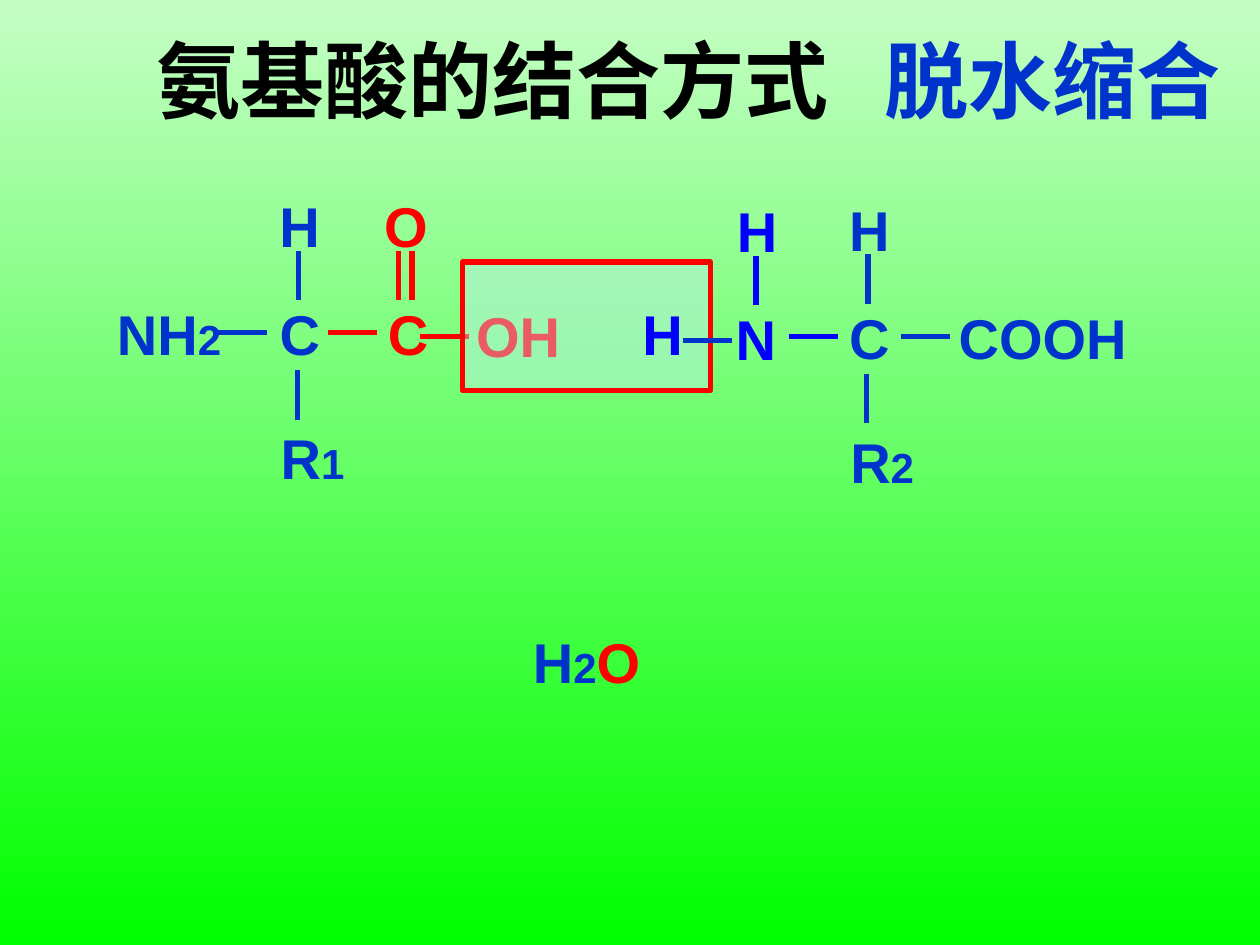
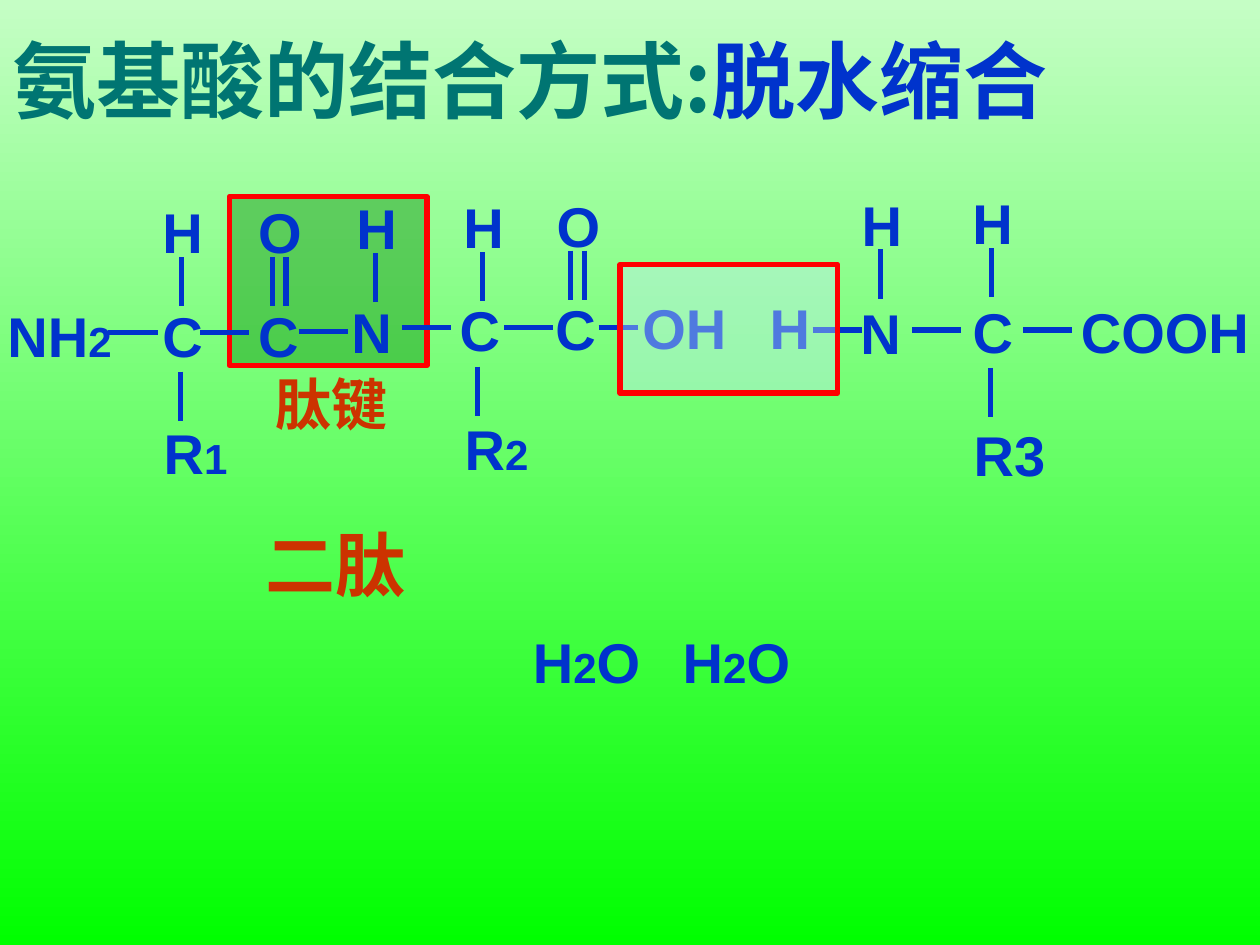
from dataclasses import dataclass
from itertools import groupby

from lxml import etree
from pptx import Presentation
from pptx import util as u
from pptx.dml.color import RGBColor
from pptx.enum import shapes, text
from pptx.oxml import ns


@dataclass(frozen=True)
class Theme:
    font: str = "Arial"
    han: str = "Noto Sans CJK SC"
    pale: str = "C5FEC5"
    green: str = "00FF00"
    blue: str = "0033CC"
    pure: str = "0000FF"
    red: str = "FF0000"
    rust: str = "CC3300"
    teal: str = "007572"
    black: str = "000000"
    ice: str = "CCECFF"
    moss: str = "008000"
    head: int = 48
    label: int = 40
    atom: int = 32
    sub: int = 24
    line: int = 3
    bond: float = 0.39
    clear: int = 39


# Box widths that suit each formula, in inches
WIDTH = {"C": 0.55, "O": 0.55, "H": 0.63, "N": 0.63, "OH": 1.1, "COOH": 1.57,
         "NH2": 1.18, "H2O": 1.18, "R1": 0.87, "R2": 1.1, "R3": 1.1,
         "肽键": 1.18, "二肽": 1.5}


class Deck:
    def __init__(self, theme):
        self.t = theme
        self.prs = Presentation()
        self.prs.slide_width, self.prs.slide_height = u.Inches(10), u.Inches(7.5)
        self.slide = None
        # Shared background on the master
        fill = self.prs.slide_master.background.fill
        fill.gradient()
        fill.gradient_angle = 270
        for stop, color, spot in zip(fill.gradient_stops,
                                     (theme.pale, theme.green), (0, 1)):
            stop.color.rgb = RGBColor.from_string(color)
            stop.position = spot

    def run(self, para, words, size, color, font=None):
        run = para.add_run()
        run.text = words
        style = {"name": font or self.t.font, "size": u.Pt(size), "bold": True}
        for key, value in style.items():
            setattr(run.font, key, value)
        run.font.color.rgb = RGBColor.from_string(color)
        east = etree.Element(ns.qn("a:ea"), typeface=self.t.han)
        run.font._element.find(ns.qn("a:latin")).addnext(east)

    def title(self, left, parts, tab=None):
        self.slide = self.prs.slides.add_slide(self.prs.slide_layouts[5])
        box = self.slide.shapes.title
        place = {"left": left, "top": 0, "width": 9.34, "height": 1.25}
        for key, value in place.items():
            setattr(box, key, u.Inches(value))
        frame = box.text_frame
        style = {"vertical_anchor": text.MSO_ANCHOR.MIDDLE, "word_wrap": True,
                 "auto_size": text.MSO_AUTO_SIZE.NONE}
        for key, value in style.items():
            setattr(frame, key, value)
        para = frame.paragraphs[0]
        para.alignment = text.PP_ALIGN.LEFT
        if tab:
            stops = etree.SubElement(para._p.get_or_add_pPr(), ns.qn("a:tabLst"))
            etree.SubElement(stops, ns.qn("a:tab"), pos=str(u.Inches(tab)), algn="l")
        for words, color, font in parts:
            self.run(para, words, self.t.head, color, font)

    def atom(self, name, x, y, color=None, size=None, sub=True, tail=None):
        """Write a formula; digits are small, and tail colours what follows them."""
        size = size or self.t.atom
        color = color or self.t.blue
        box = self.slide.shapes.add_textbox(
            *map(u.Inches, (x, y, WIDTH[name], 0.77 if size > self.t.atom else 0.64)))
        box.text_frame.word_wrap = True
        para = box.text_frame.paragraphs[0]
        for spot, (digit, chars) in enumerate(groupby(name, str.isdigit)):
            self.run(para, "".join(chars), self.t.sub if digit and sub else size,
                     tail if tail and spot == 2 else color)

    def bond(self, x, y, color=None, down=False, size=None):
        size = size or self.t.bond
        end = (x, y + size) if down else (x + size, y)
        line = self.slide.shapes.add_connector(
            shapes.MSO_CONNECTOR.STRAIGHT, *map(u.Inches, (x, y, *end)))
        line.line.width = u.Pt(self.t.line)
        line.line.color.rgb = RGBColor.from_string(color or self.t.blue)
        etree.SubElement(line._element.spPr, ns.qn("a:effectLst"))

    def chain(self, spots, color=None):
        for x, y in spots:
            self.bond(x, y, color)

    def stack(self, base, top, x, y, dx=0.0, rise=0.86, color=None):
        """Bond one atom above another: a double bond for O, single for H."""
        self.atom(base, x, y, color)
        self.atom(top, x + dx, y - rise, color)
        for gap in (0.21, 0.32) if top == "O" else (0.25,):
            self.bond(x + dx + gap, y - rise + 0.52, color, down=True)

    def unit(self, group, x, y, dx=0.0, rise=0.86, drop=0.98, sub=True):
        """Central carbon with H above and a side group below."""
        self.stack("C", "H", x, y, dx, rise)
        self.bond(x + 0.24, y + 0.61, down=True)
        self.atom(group, x + 0.01 + dx, y + drop, sub=sub)

    def frame(self, x, y, wide, high, color):
        box = self.slide.shapes.add_shape(
            shapes.MSO_SHAPE.RECTANGLE, *map(u.Inches, (x, y, wide, high)))
        box.shadow.inherit = False
        box.fill.solid()
        box.fill.fore_color.rgb = RGBColor.from_string(color)
        tint = box._element.spPr.find(ns.qn("a:solidFill"))[0]
        etree.SubElement(tint, ns.qn("a:alpha"), val=str(self.t.clear * 1000))
        box.line.width = u.Pt(self.t.line)
        box.line.color.rgb = RGBColor.from_string(self.t.red)


def join(deck):
    """Two amino acids before they lose water."""
    t = deck.t
    deck.title(1.14, [("氨基酸的结合方式\t", t.black, t.font),
                      ("脱水缩合", t.blue, t.han)], tab=5.78)
    # First amino acid
    deck.atom("NH2", 0.83, 2.33)
    deck.bond(1.73, 2.64)
    deck.unit("R1", 2.12, 2.33)
    deck.stack("C", "O", 2.98, 2.33, dx=-0.03, color=t.red)
    deck.atom("OH", 3.68, 2.34, t.red)
    deck.chain([(2.6, 2.64), (3.33, 2.67)], t.red)
    # Leaving water
    deck.frame(3.67, 2.08, 1.97, 1.02, t.ice)
    deck.atom("H2O", 4.13, 4.93, tail=t.red)
    # Second amino acid
    deck.atom("H", 5, 2.33, t.pure)
    deck.stack("N", "H", 5.74, 2.37, dx=0.01, color=t.pure)
    deck.bond(6.26, 2.67, t.pure)
    deck.unit("R2", 6.64, 2.36)
    deck.atom("COOH", 7.51, 2.36)
    deck.chain([(5.42, 2.7), (7.15, 2.67)])


def grow(deck):
    """A dipeptide meets a third amino acid."""
    t = deck.t
    deck.title(0, [("氨基酸的结合方式:", t.teal, t.han), ("脱水缩合", t.blue, t.han)])
    # Peptide bond
    deck.frame(1.82, 1.56, 1.57, 1.34, t.moss)
    deck.atom("肽键", 2.09, 2.88, t.rust)
    # Dipeptide
    deck.atom("NH2", -0.04, 2.34)
    deck.unit("R1", 1.19, 2.34, rise=0.82, drop=0.93)
    deck.stack("C", "O", 1.95, 2.34, rise=0.82)
    deck.stack("N", "H", 2.69, 2.31, dx=0.04, rise=0.82)
    deck.unit("R2", 3.55, 2.3, dx=0.03, rise=0.82, drop=0.94)
    deck.stack("C", "O", 4.31, 2.29, dx=0.01, rise=0.82)
    deck.chain([(0.86, 2.64), (1.59, 2.64), (2.37, 2.63), (3.19, 2.6), (4, 2.6)])
    deck.bond(4.75, 2.6, size=0.31)
    deck.atom("OH", 5, 2.28)
    deck.atom("二肽", 2.01, 4.09, t.rust, t.label)
    # Third amino acid
    deck.atom("H", 6.01, 2.28)
    deck.stack("N", "H", 6.73, 2.32, dx=0.01)
    deck.unit("R3", 7.62, 2.31, sub=False)
    deck.atom("COOH", 8.48, 2.31)
    deck.chain([(6.45, 2.62), (7.24, 2.62), (8.12, 2.62)])
    # Leaving water
    deck.frame(4.92, 2.1, 1.73, 1.02, t.ice)
    for x in (4.13, 5.32):
        deck.atom("H2O", x, 4.93)


def main():
    deck = Deck(Theme())
    join(deck)
    grow(deck)
    deck.prs.save("out.pptx")


if __name__ == "__main__":
    main()
